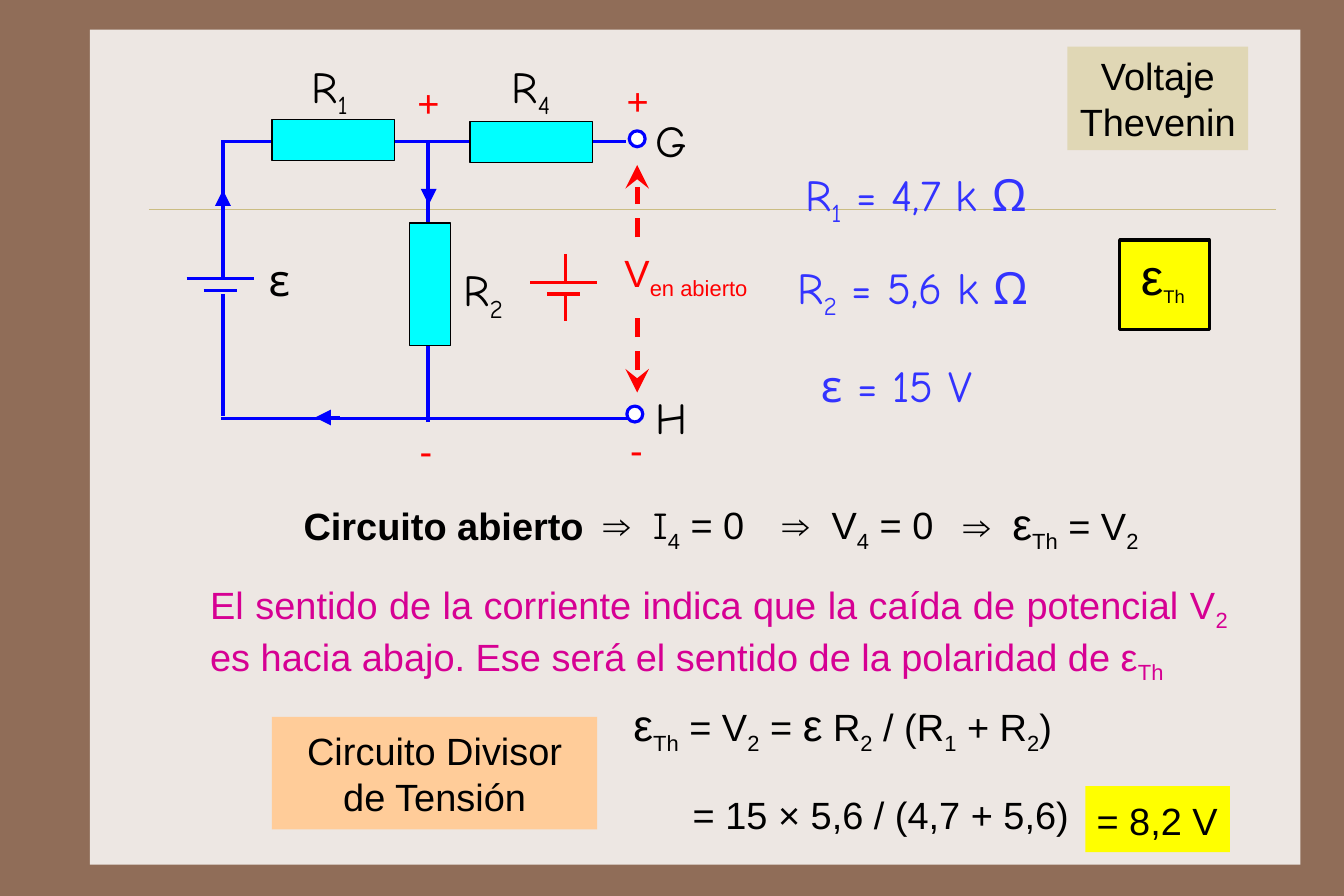
"""Build the Thevenin voltage slide with its circuit and its sums."""
from dataclasses import dataclass
from itertools import groupby
from typing import Any, Optional

from lxml.etree import SubElement
from pptx import Presentation
from pptx.dml.color import RGBColor
from pptx.enum.dml import MSO_LINE
from pptx.enum.shapes import MSO_CONNECTOR, MSO_SHAPE
from pptx.enum.text import MSO_ANCHOR, MSO_AUTO_SIZE, PP_ALIGN
from pptx.oxml.ns import qn
from pptx.slide import Slide
from pptx.util import Pt

BROWN = RGBColor(0x90, 0x6D, 0x58)
CREAM = RGBColor(0xED, 0xE7, 0xE3)
KHAKI = RGBColor(0xCB, 0xBD, 0x83)
SAND = RGBColor(0xE0, 0xD7, 0xB5)
PEACH = RGBColor(0xFF, 0xCC, 0x99)
GOLD = RGBColor(0xFF, 0xFF, 0x00)
AQUA = RGBColor(0x00, 0xFF, 0xFF)
BLUE = RGBColor(0x00, 0x00, 0xFF)
SKY = RGBColor(0x33, 0x33, 0xFF)
RED = RGBColor(0xFF, 0x00, 0x00)
PINK = RGBColor(0xD6, 0x00, 0x93)
BLACK = RGBColor(0x00, 0x00, 0x00)
WHITE = RGBColor(0xFF, 0xFF, 0xFF)
SANS, HAND = "Arial", "Comic Neue"
LEFT, MID, FULL = PP_ALIGN.LEFT, PP_ALIGN.CENTER, PP_ALIGN.JUSTIFY


@dataclass
class Wire:
    """A straight line, with optional heads and dashes."""
    start: tuple[float, float]
    end: tuple[float, float]
    ink: RGBColor = BLUE
    width: float = 2
    head: str = ""
    tail: str = ""
    dash: Optional[MSO_LINE] = None


@dataclass
class Tile:
    """A filled shape without text."""
    box: tuple[float, float, float, float]
    fill: RGBColor
    ink: Optional[RGBColor] = None
    width: float = 0.75
    kind: MSO_SHAPE = MSO_SHAPE.RECTANGLE


@dataclass
class Label:
    """A text whose subscripts stand in square brackets."""
    text: str
    box: tuple[float, float, float, float]
    ink: RGBColor = BLACK
    face: str = SANS
    size: float = 24
    big: float = 28
    align: PP_ALIGN = LEFT
    wrap: bool = False
    bold: bool = False
    fill: Optional[RGBColor] = None
    side: float = 7.2


def hand(text: str, left: float, top: float, width: float = 74.2,
         ink: RGBColor = BLACK, align: PP_ALIGN = MID) -> Label:
    """Make a label in the handwritten face."""
    return Label(text, (left, top, width, 46), ink, HAND, 28,
                 align=align, wrap=True, side=6.5)


def cell(left: float, top: float, ink: RGBColor) -> list[Wire]:
    """Make the two plates of a battery."""
    return [Wire((left + gap, top + drop), (left + 42.5 - gap, top + drop), ink)
            for gap, drop in ((0, 0), (10.8, 7.5))]


WIRES = [
    *cell(118.1, 176.4, BLUE),
    Wire((402.5, 265), (139.7, 265)),
    Wire((141.1, 176.4), (141.1, 88.6)),
    Wire((396, 89.3), (139.7, 89.3)),
    Wire((270.9, 267.1), (270.9, 88.6)),
    Wire((141.1, 263.5), (141.1, 185.8)),
    Wire((141.1, 135.4), (141.1, 120.2), tail="triangle"),
    Wire((271.3, 114.5), (271.3, 129.6), tail="triangle"),
    Wire((215.3, 264.2), (199.4, 264.2), tail="triangle"),
    Wire((403.2, 248.4), (403.2, 104.4), RED, 3, "stealth", "stealth", MSO_LINE.DASH),
    *cell(335.5, 178.6, RED),
    Wire((357.8, 186.5), (357.8, 203), RED),
    Wire((357.8, 160.6), (357.8, 177.8), RED),
]

TILES = [
    Tile((686.9, 497.5, 91.4, 41.8), GOLD),
    Tile((708.5, 151.9, 56.9, 56.9), GOLD, BLACK, 2),
    Tile((297.4, 77, 77.8, 25.9), AQUA, BLACK),
    Tile((172.1, 75.6, 77.8, 25.9), AQUA, BLACK),
    Tile((259.2, 141.1, 25.9, 77.8), AQUA, BLACK),
    Tile((398.2, 82.8, 10.1, 10.1), WHITE, BLUE, 2, MSO_SHAPE.OVAL),
    Tile((396.7, 257, 10.1, 10.1), WHITE, BLUE, 2, MSO_SHAPE.OVAL),
]

LABELS = [
    hand("ε", 139.7, 156.2),
    hand("R[1]", 171.4, 33.8),
    hand("R[4]", 298.8, 33.8),
    hand("R[2]", 268.6, 162.7),
    hand("G", 408.2, 68.4, 41, align=LEFT),
    hand("H", 408.2, 243.4, 41, align=LEFT),
    hand("R[1] = 4,7 k Ω", 483.8, 102.2, 191.5, SKY),
    hand("R[2] = 5,6 k Ω", 481.7, 161.3, 191.5, SKY),
    hand("ε = 15 V", 471.6, 223.2, 191.5, SKY),
    Label("+", (257, 43.9, 28.1, 41.8), RED),
    Label("+", (389.5, 42.5, 28.1, 41.8), RED),
    Label("-", (258.5, 264.2, 22.3, 41.8), RED),
    Label("-", (391.7, 263.5, 22.3, 41.8), RED),
    Label("V[en abierto]", (388.1, 153.4, 101.5, 41.8), RED, fill=CREAM),
    Label("ε[Th]", (708.5, 148.3, 54.7, 51.1), size=20, big=32, align=MID, wrap=True),
    Label("Voltaje Thevenin", (675.4, 29.5, 114.5, 65.5), align=MID, wrap=True, fill=SAND),
    Label("Circuito abierto", (185, 311.8, 193, 42.5), bold=True),
    Label("⇒\tI[4] = 0", (375.1, 311, 114.5, 42.5)),
    Label("⇒\tV[4] = 0", (488.2, 311, 117.4, 42.5)),
    Label("⇒\tε[Th] = V[2]", (602.6, 307.4, 135.4, 46.8)),
    Label("El sentido de la corriente indica que la caída de potencial V[2] es hacia "
          "abajo. Ese será el sentido de la polaridad de ε[Th]",
          (119.5, 361.4, 671, 71.3), PINK, big=24, align=FULL, wrap=True, side=13.5),
    Label("Circuito Divisor de Tensión", (172.1, 453.6, 205.9, 71.3),
          align=MID, wrap=True, fill=PEACH),
    Label("ε[Th] = V[2] = ε R[2] / (R[1] + R[2])", (393.8, 434.9, 285.1, 46.8)),
    Label("= 15 × 5,6 / (4,7 + 5,6)", (431.3, 494.6, 253.4, 42.5)),
    Label("= 8,2 V", (686.9, 498.2, 91.4, 42.5)),
]


def style(thing: Any, looks: dict[str, Any]) -> None:
    """Set each named value on the thing."""
    for name, value in looks.items():
        setattr(thing, name, value)


def paint(shape: Any, ink: RGBColor) -> None:
    """Fill a shape with one colour."""
    shape.fill.solid()
    shape.fill.fore_color.rgb = ink


def draw_wire(slide: Slide, wire: Wire) -> None:
    """Draw one line with its heads."""
    line = slide.shapes.add_connector(
        MSO_CONNECTOR.STRAIGHT, *map(Pt, (*wire.start, *wire.end)))
    style(line.line, {"width": Pt(wire.width), "dash_style": wire.dash})
    line.line.color.rgb = wire.ink
    pen = line.line._get_or_add_ln()
    for tag, kind in (("a:headEnd", wire.head), ("a:tailEnd", wire.tail)):
        if kind:
            SubElement(pen, qn(tag), type=kind, w="lg", len="lg")
    SubElement(line._element.spPr, qn("a:effectLst"))


def draw_tile(slide: Slide, tile: Tile) -> None:
    """Draw one plain shape."""
    shape = slide.shapes.add_shape(tile.kind, *map(Pt, tile.box))
    shape.shadow.inherit = False
    paint(shape, tile.fill)
    if tile.ink is None:
        shape.line.fill.background()
    else:
        shape.line.color.rgb = tile.ink
        shape.line.width = Pt(tile.width)


def draw_label(slide: Slide, label: Label) -> None:
    """Draw one text, with subscripts and large epsilons."""
    shape = slide.shapes.add_textbox(*map(Pt, label.box))
    edge = 3.6 if label.face == HAND else 6.5
    frame = shape.text_frame
    style(frame, {
        "word_wrap": label.wrap,
        "auto_size": MSO_AUTO_SIZE.NONE if label.face == HAND
        else MSO_AUTO_SIZE.SHAPE_TO_FIT_TEXT,
        "vertical_anchor": MSO_ANCHOR.MIDDLE if label.fill else MSO_ANCHOR.TOP,
        "margin_left": Pt(label.side), "margin_right": Pt(label.side),
        "margin_top": Pt(edge), "margin_bottom": Pt(edge)})
    if label.fill:
        paint(shape, label.fill)
    para = frame.paragraphs[0]
    para.alignment = label.align
    if "\t" in label.text:
        tabs = SubElement(para._p.get_or_add_pPr(), qn("a:tabLst"))
        SubElement(tabs, qn("a:tab"), pos=str(Pt(31)), algn="l")
    for spot, part in enumerate(label.text.replace("]", "[").split("[")):
        for mark, group in groupby(part, lambda sign: sign if sign in "εI" else ""):
            run = para.add_run()
            run.text = "".join(group)
            style(run.font, {
                "name": HAND if mark == "I" else label.face,
                "size": Pt(label.big if mark == "ε" else label.size),
                "bold": label.bold})
            run.font.color.rgb = label.ink
            if spot % 2:
                run._r.get_or_add_rPr().set("baseline", "-25000")


def main() -> None:
    """Build and save the slide."""
    deck = Presentation()
    style(deck, {"slide_width": Pt(850.5), "slide_height": Pt(567)})
    slide = deck.slides.add_slide(deck.slide_layouts[6])
    paint(slide.background, BROWN)
    draw_tile(slide, Tile((56.9, 18.7, 766, 528.5), CREAM))
    draw_wire(slide, Wire((94.3, 132.5), (807.8, 132.5), KHAKI, 0.25))
    for draw, items in ((draw_wire, WIRES), (draw_tile, TILES), (draw_label, LABELS)):
        for item in items:
            draw(slide, item)
    deck.save("out.pptx")


if __name__ == "__main__":
    main()
